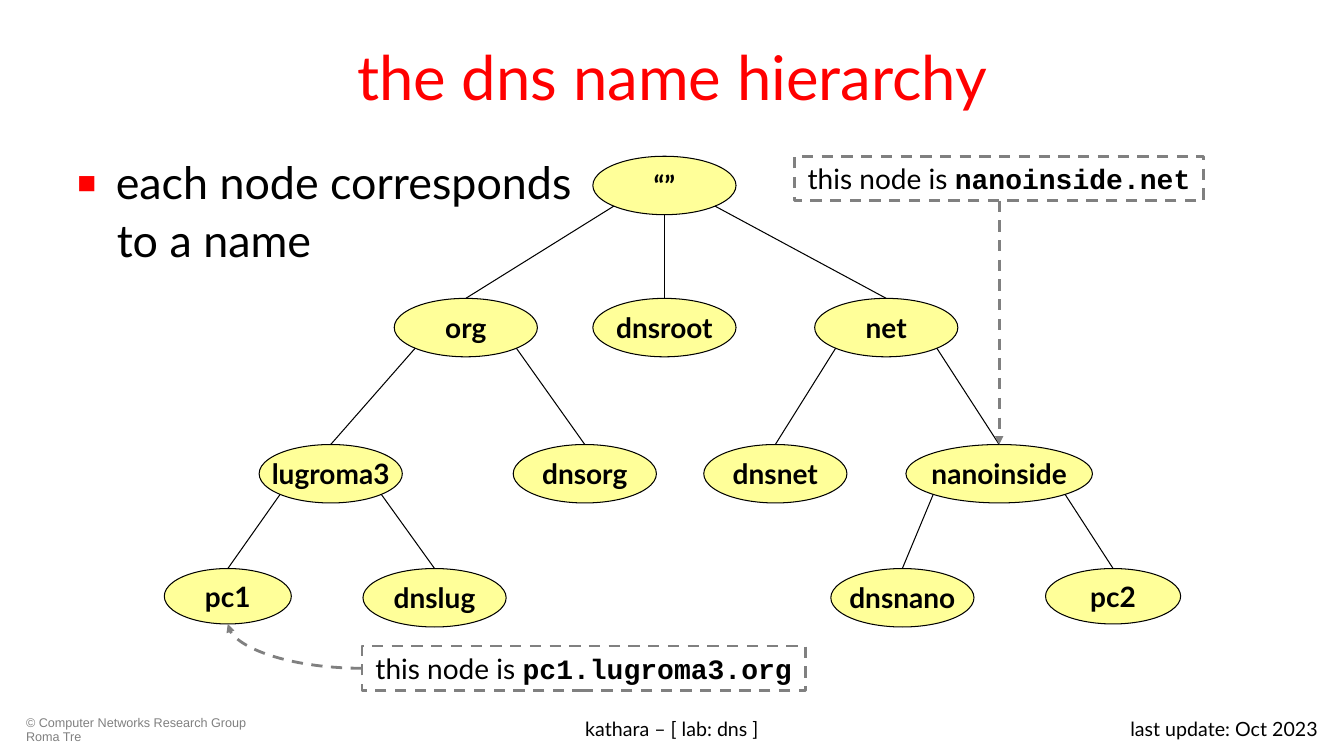
import math
import pptx
import pptx.util
import pptx.dml.color
import pptx.enum.dml
import pptx.enum.shapes
import pptx.enum.text
import pptx.oxml
import pptx.oxml.ns
from lxml import etree

Inches = pptx.util.Inches
Pt = pptx.util.Pt
qn = pptx.oxml.ns.qn
ALIGN = pptx.enum.text.PP_ALIGN
ANCHOR = pptx.enum.text.MSO_ANCHOR
SHAPE = pptx.enum.shapes.MSO_SHAPE
CONNECTOR = pptx.enum.shapes.MSO_CONNECTOR
DASH = pptx.enum.dml.MSO_LINE.DASH

COLORS = {"red": "FF0000", "black": "000000", "gray": "808080",
          "yellow": "FFFF99", "white": "FFFFFF"}

NODE_W, NODE_H = 1.42, 0.58
LEVELS = [1.55, 2.96, 4.41, 5.64]
NODES = {
    "“”": (6.59, 0), "org": (4.62, 1), "dnsroot": (6.59, 1), "net": (8.79, 1),
    "lugroma3": (3.28, 2), "dnsorg": (5.8, 2), "dnsnet": (7.69, 2),
    "nanoinside": (9.91, 2), "pc1": (2.26, 3), "dnslug": (4.31, 3),
    "dnsnano": (8.95, 3), "pc2": (11.04, 3),
}
NODE_SIZES = {"nanoinside": (1.85, NODE_H), "pc1": (1.26, 0.55), "pc2": (1.34, 0.55)}
CHILDREN = {
    "“”": ["org", "dnsroot", "net"], "org": ["lugroma3", "dnsorg"],
    "net": ["dnsnet", "nanoinside"], "lugroma3": ["pc1", "dnslug"],
    "nanoinside": ["dnsnano", "pc2"],
}
TOP, BOTTOM_LEFT, BOTTOM, BOTTOM_RIGHT = 0, 3, 4, 5


def rgb(name):
    return pptx.dml.color.RGBColor.from_string(COLORS[name])


def style_font(font, size, color="black", name="Lato", bold=False):
    font.size = Pt(size)
    font.name = name
    font.bold = bold
    font.color.rgb = rgb(color)


def style_line(line, color="black", width=0.75, dashed=False):
    line.color.rgb = rgb(color)
    line.width = Pt(width)
    if dashed:
        line.dash_style = DASH


def add_title(s, text):
    sp = s.shapes.title
    sp.left, sp.top, sp.width, sp.height = map(Inches, (0.67, 0.13, 12, 1.25))
    tf = sp.text_frame
    tf.text = text
    tf.vertical_anchor = ANCHOR.MIDDLE
    p = tf.paragraphs[0]
    p.alignment = ALIGN.CENTER
    style_font(p.runs[0].font, 44, "red")


def add_text(s, box, text, size, align=ALIGN.LEFT, **font):
    sp = s.shapes.add_textbox(*map(Inches, box))
    tf = sp.text_frame
    tf.word_wrap = True
    tf.text = text
    for p in tf.paragraphs:
        p.alignment = align
        style_font(p.runs[0].font, size, **font)
    return tf


def add_bullet(p):
    pPr = p._p.get_or_add_pPr()
    color = etree.SubElement(pPr, qn("a:buClr"))
    etree.SubElement(color, qn("a:srgbClr"), val=COLORS["red"])
    etree.SubElement(pPr, qn("a:buSzPct"), val="70000")
    etree.SubElement(pPr, qn("a:buFont"), typeface="Arial")
    etree.SubElement(pPr, qn("a:buChar"), char="■")


def add_body(s):
    tf = add_text(s, (0.67, 1.55, 12, 5.15), "each node corresponds\nto a name", 32)
    first, second = tf.paragraphs
    for p, margin, indent in ((first, 0.38, -0.38), (second, 0.39, 0)):
        p.line_spacing = 0.9
        pPr = p._p.get_or_add_pPr()
        pPr.set("marL", str(Inches(margin)))
        pPr.set("indent", str(Inches(indent)))
    second.space_before = Pt(6.4)
    add_bullet(first)


def add_box(s, kind, box, text, fill):
    sp = s.shapes.add_shape(kind, *map(Inches, box))
    sp.shadow.inherit = False
    sp.fill.solid()
    sp.fill.fore_color.rgb = rgb(fill)
    tf = sp.text_frame
    tf.word_wrap = False
    tf.vertical_anchor = ANCHOR.MIDDLE
    p = tf.paragraphs[0]
    p.text = text
    p.alignment = ALIGN.CENTER
    style_font(p.runs[0].font, 20)
    return sp


def add_node(s, name):
    x, level = NODES[name]
    w, h = NODE_SIZES.get(name, (NODE_W, NODE_H))
    sp = add_box(s, SHAPE.OVAL, (x - w / 2, LEVELS[level], w, h), name, "yellow")
    style_line(sp.line)
    sp.text_frame.paragraphs[0].runs[0].font.bold = True
    return sp


def add_callout(s, box, name):
    sp = add_box(s, SHAPE.RECTANGLE, box, "this node is ", "white")
    style_line(sp.line, "gray", 2, True)
    r = sp.text_frame.paragraphs[0].add_run()
    r.text = name
    style_font(r.font, 20, name="Courier New", bold=True)


def add_line(s, start, end, kind=CONNECTOR.STRAIGHT):
    line = s.shapes.add_connector(kind, *map(Inches, start + end))
    etree.SubElement(line._element.spPr, qn("a:effectLst"))
    style_line(line.line)
    return line


def add_arrow(s, start, end, kind=CONNECTOR.STRAIGHT):
    line = add_line(s, start, end, kind)
    style_line(line.line, "gray", 2, True)
    etree.SubElement(line.line._get_or_add_ln(), qn("a:tailEnd"), type="triangle")
    return line


def add_edge(s, shapes, parent, child):
    px, level = NODES[parent]
    cx, child_level = NODES[child]
    w, h = NODE_SIZES.get(parent, (NODE_W, NODE_H))
    side = (cx > px) - (cx < px)
    site = {-1: BOTTOM_LEFT, 0: BOTTOM, 1: BOTTOM_RIGHT}[side]
    drop = math.sqrt(0.5) if side else 1
    start = (px + side * w / 2 * math.sqrt(0.5), LEVELS[level] + h / 2 * (1 + drop))
    line = add_line(s, start, (cx, LEVELS[child_level]))
    props = line._element.find(".//" + qn("p:cNvCxnSpPr"))
    for tag, name, idx in (("a:stCxn", parent, site), ("a:endCxn", child, TOP)):
        etree.SubElement(props, qn(tag), id=str(shapes[name].shape_id), idx=str(idx))


def add_footers(s):
    tf = add_text(s, (0.16, 7.06, 2.49, 0.36),
                  "© Computer Networks Research Group Roma Tre", 9,
                  color="gray", name="Arial")
    tf.paragraphs[0].line_spacing = 0.9
    add_text(s, (3.41, 7.06, 6.51, 0.36), "kathara – [ lab: dns ]", 14, ALIGN.CENTER)
    add_text(s, (10.13, 7.06, 3.04, 0.36), "last update: Oct 2023", 14, ALIGN.RIGHT)


def main():
    prs = pptx.Presentation()
    prs.slide_width, prs.slide_height = Inches(13.33), Inches(7.5)
    s = prs.slides.add_slide(prs.slide_layouts[5])
    add_title(s, "the dns name hierarchy")
    add_body(s)
    add_footers(s)
    shapes = {name: add_node(s, name) for name in NODES}
    for parent, children in CHILDREN.items():
        for child in children:
            add_edge(s, shapes, parent, child)
    add_callout(s, (7.88, 1.55, 4.06, 0.44), "nanoinside.net")
    add_arrow(s, (9.91, 1.99), (9.91, LEVELS[2]))
    add_callout(s, (3.59, 6.41, 4.4, 0.44), "pc1.lugroma3.org")
    curve = add_arrow(s, (3.59, 6.63), (2.26, 6.19), CONNECTOR.CURVE)
    curve._element.spPr.find(qn("a:prstGeom")).set("prst", "curvedConnector2")
    prs.save("out.pptx")


if __name__ == "__main__":
    main()
